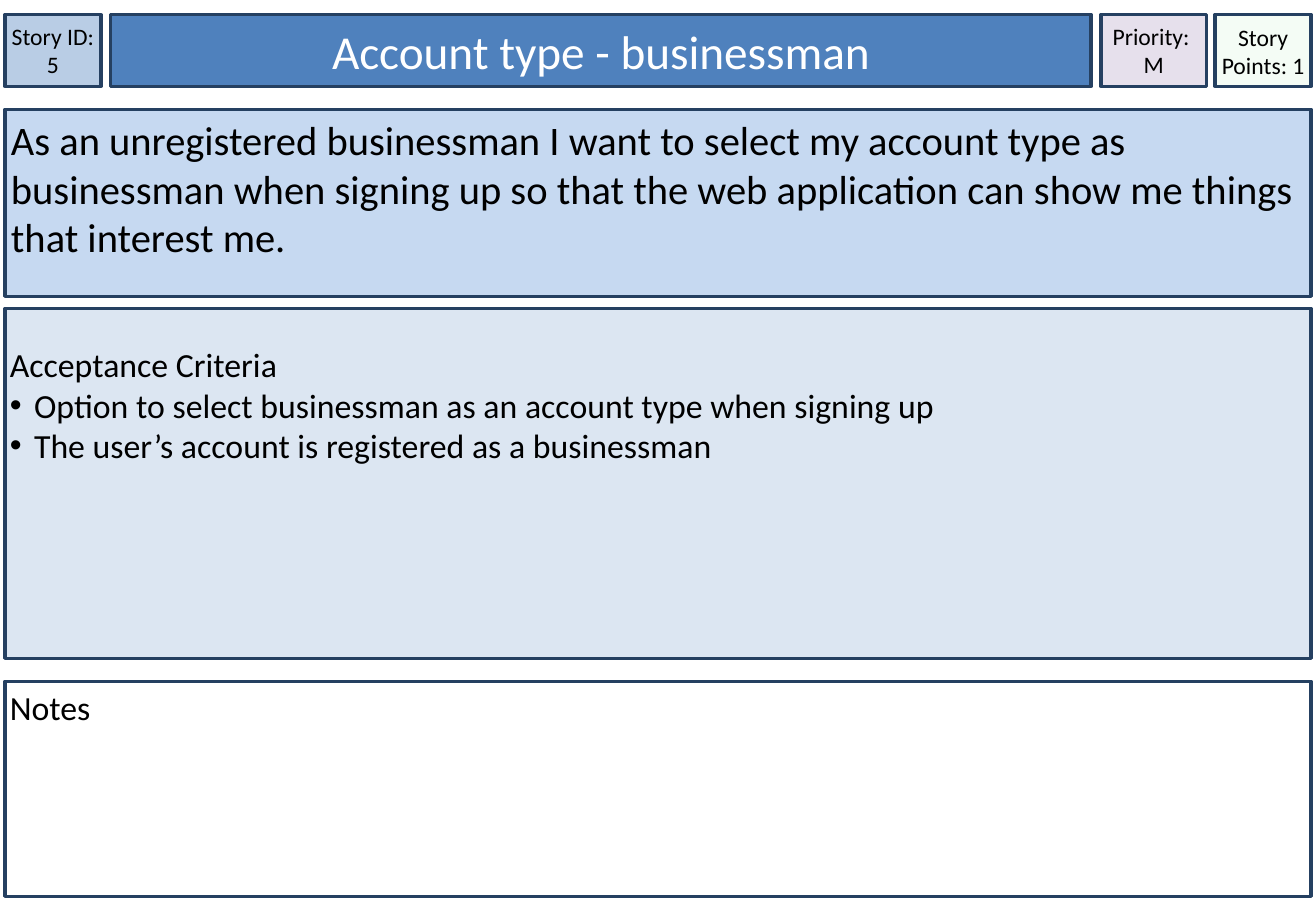
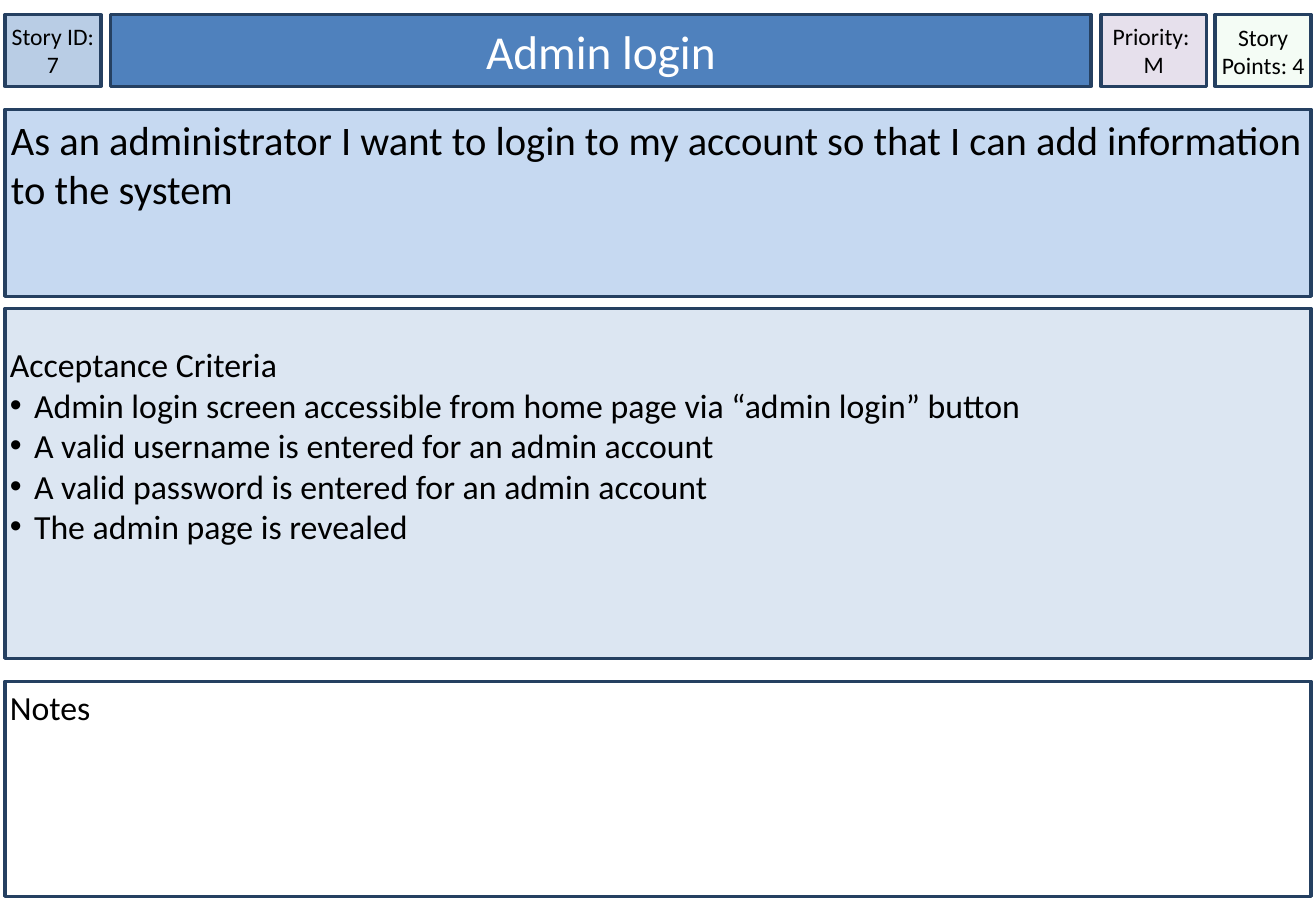
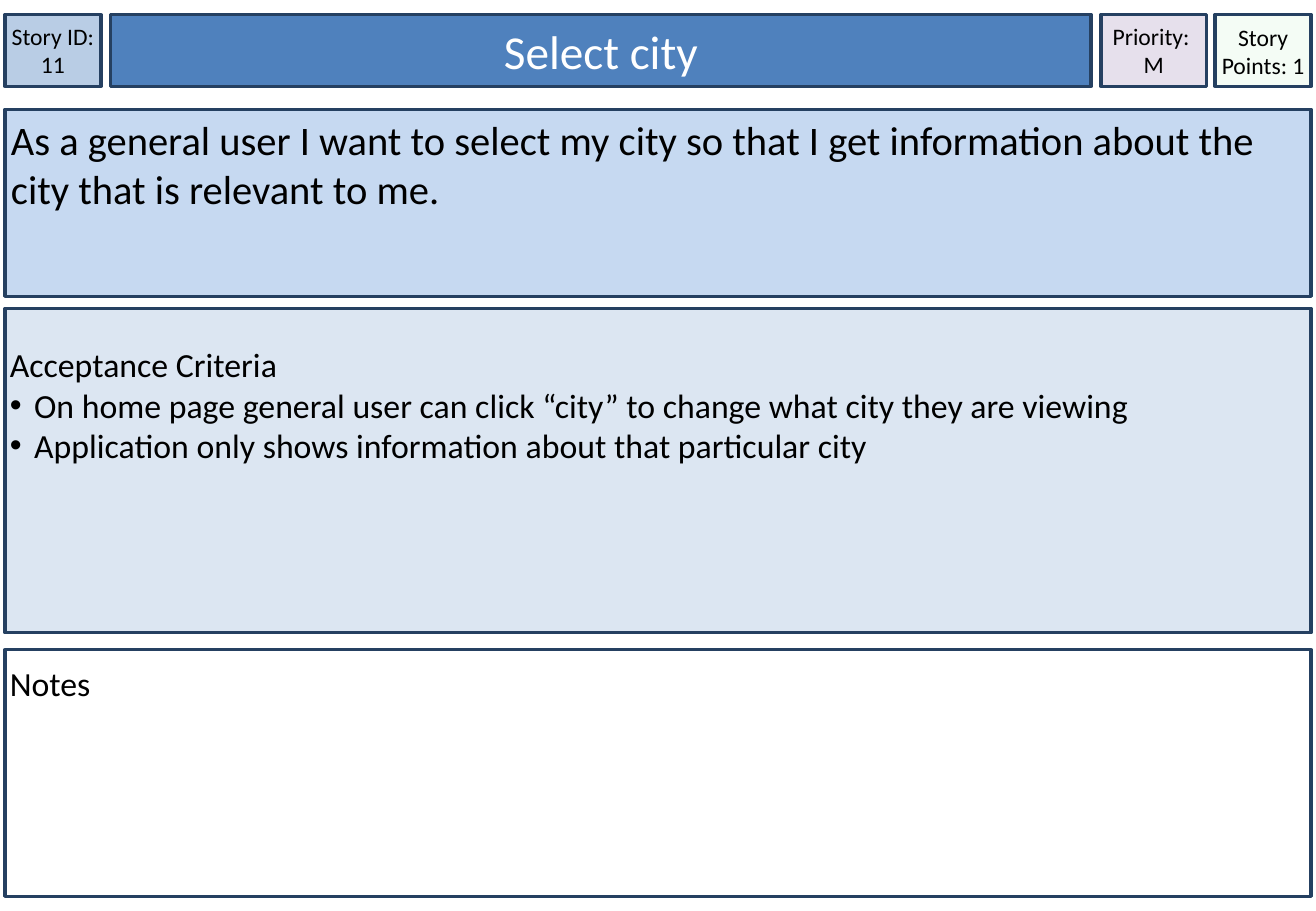
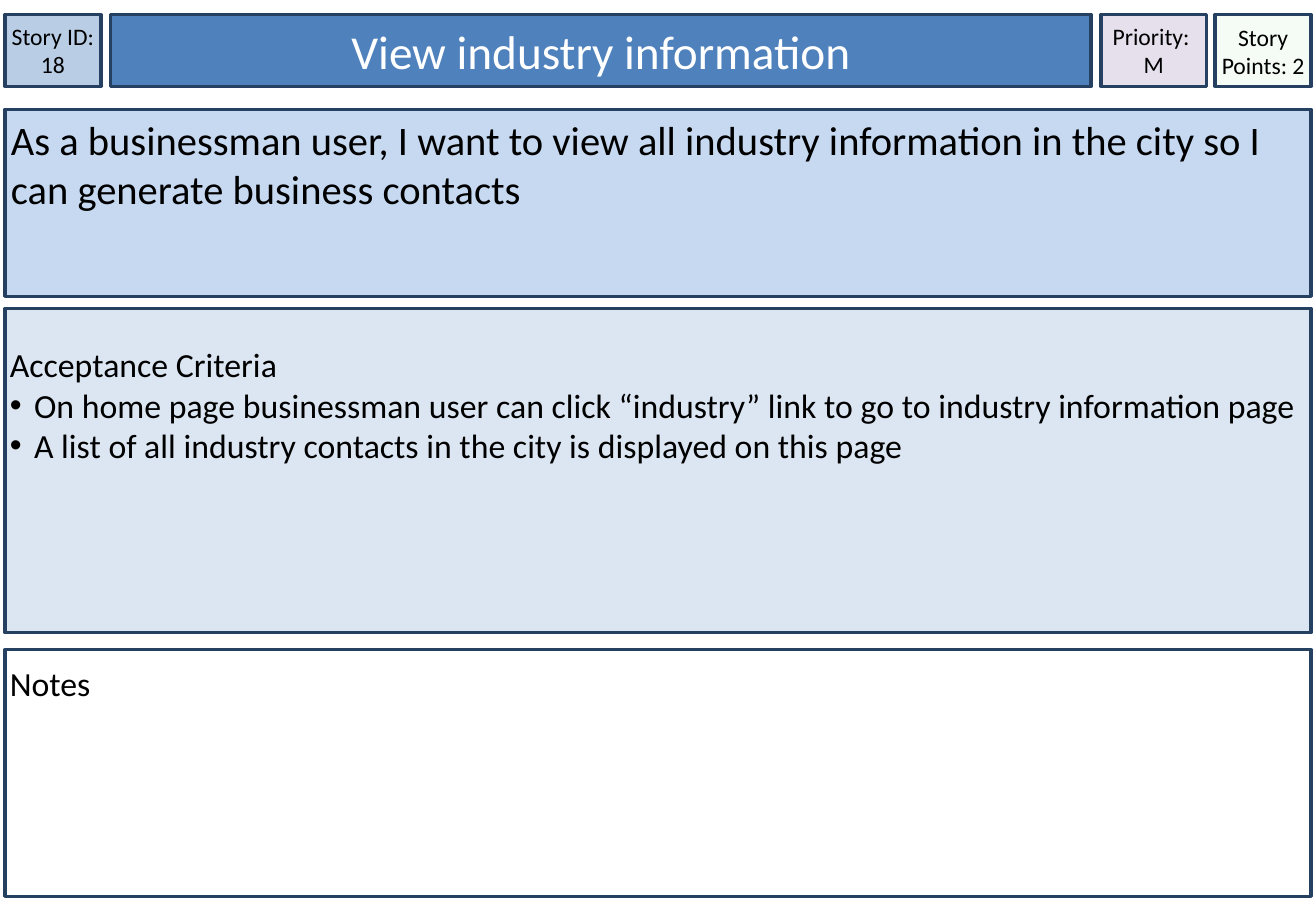
from dataclasses import dataclass

from lxml.etree import SubElement
from pptx import Presentation
from pptx.dml.color import RGBColor
from pptx.enum.shapes import MSO_SHAPE
from pptx.enum.text import MSO_ANCHOR as ANCHOR, PP_ALIGN as ALIGN
from pptx.oxml.ns import qn
from pptx.slide import Slide
from pptx.util import Inches, Pt

COLORS = {
    "border": "254061",
    "id": "B9CDE5",
    "title": "4F81BD",
    "story": "C6D9F1",
    "criteria": "DCE6F2",
    "points": "CCF0CD",
    "priority": "E6E0EC",
    "remarks": "FFFFFF",
    "ink": "000000",
    "title_ink": "FFFFFF",
}
FONT = "Calibri"
LEFT, FULL_WIDTH = 0.04, 10.75
HEADER_TOP, HEADER_HEIGHT = 0.12, 0.59
CRITERIA_TOP, CRITERIA_TEXT_TOP = 2.54, 2.79
BOTTOM = 7.38
BULLET_INDENT = 0.2


@dataclass(frozen=True)
class Box:
    left: float
    top: float
    width: float
    height: float

    def lengths(self) -> list[int]:
        return [Inches(v) for v in (self.left, self.top, self.width, self.height)]


@dataclass(frozen=True)
class TextStyle:
    size: int
    inset: float
    centered: bool = False
    wrap: bool = True
    ink: str = "ink"


@dataclass(frozen=True)
class Panel:
    fill: str
    frame: Box
    text_area: Box
    style: TextStyle
    lines: tuple[str, ...]
    bullets: tuple[str, ...] = ()
    opacity: int = 100


@dataclass(frozen=True)
class Arrangement:
    criteria_height: float
    criteria_text_height: float
    remarks_top: float
    remarks_text_top: float


@dataclass(frozen=True)
class Story:
    number: int
    title: str
    points: int
    wish: str
    criteria: tuple[str, ...]
    arrangement: Arrangement
    priority: str = "M"


TAG = TextStyle(14, 0, centered=True)
UNWRAPPED_TAG = TextStyle(14, 0, centered=True, wrap=False)
TITLE = TextStyle(28, 0.05, centered=True, ink="title_ink")
WISH = TextStyle(24, 0.05)
BODY = TextStyle(20, 0.04)

TALL_CRITERIA = Arrangement(2.88, 2.62, 5.61, 5.61)
SHORT_CRITERIA = Arrangement(2.67, 2.5, 5.35, 5.42)

STORIES = (
    Story(
        5, "Account type - businessman", 1,
        "As an unregistered businessman I want to select my account type as "
        "businessman when signing up so that the web application can show me "
        "things that interest me.",
        (
            "Option to select businessman as an account type when signing up",
            "The user’s account is registered as a businessman",
        ),
        TALL_CRITERIA,
    ),
    Story(
        7, "Admin login", 4,
        "As an administrator I want to login to my account so that I can add "
        "information to the system",
        (
            "Admin login screen accessible from home page via “admin login” button",
            "A valid username is entered for an admin account",
            "A valid password is entered for an admin account",
            "The admin page is revealed",
        ),
        TALL_CRITERIA,
    ),
    Story(
        11, "Select city", 1,
        "As a general user I want to select my city so that I get information "
        "about the city that is relevant to me.",
        (
            "On home page general user can click “city” to change what city they are viewing",
            "Application only shows information about that particular city",
        ),
        SHORT_CRITERIA,
    ),
    Story(
        18, "View industry information", 2,
        "As a businessman user, I want to view all industry information in the "
        "city so I can generate business contacts",
        (
            "On home page businessman user can click “industry” link to go to "
            "industry information page",
            "A list of all industry contacts in the city is displayed on this page",
        ),
        SHORT_CRITERIA,
    ),
)


def header_box(left: float, width: float) -> Box:
    return Box(left, HEADER_TOP, width, HEADER_HEIGHT)


def full_box(top: float, height: float) -> Box:
    return Box(LEFT, top, FULL_WIDTH, height)


def story_panels(story: Story) -> list[Panel]:
    plan = story.arrangement
    return [
        Panel("id", header_box(LEFT, 0.79), Box(LEFT, 0.18, 0.79, 0.47),
              TAG, (f"Story ID: {story.number}",)),
        Panel("title", header_box(0.91, 8.07), Box(0.91, 0.13, 8.07, 0.57),
              TITLE, (story.title,)),
        Panel("story", full_box(0.9, 1.54), Box(LEFT, 0.9, 10.78, 1.39),
              WISH, (story.wish,)),
        Panel("criteria", full_box(CRITERIA_TOP, plan.criteria_height),
              full_box(CRITERIA_TEXT_TOP, plan.criteria_text_height),
              BODY, ("Acceptance Criteria",), story.criteria),
        Panel("points", header_box(10, 0.79), Box(10, 0.07, 0.79, 0.7),
              TAG, (f"Story Points: {story.points}",), opacity=20),
        Panel("priority", header_box(9.06, 0.87), Box(9.09, 0.18, 0.81, 0.47),
              UNWRAPPED_TAG, ("Priority: ", story.priority)),
        Panel("remarks", full_box(plan.remarks_top, BOTTOM - plan.remarks_top),
              full_box(plan.remarks_text_top, 0.41), BODY, ("Notes",)),
    ]


def rgb(name: str) -> RGBColor:
    return RGBColor.from_string(COLORS[name])


def draw_frame(slide: Slide, panel: Panel) -> None:
    frame = slide.shapes.add_shape(MSO_SHAPE.RECTANGLE, *panel.frame.lengths())
    frame.shadow.inherit = False
    frame.fill.solid()
    frame.fill.fore_color.rgb = rgb(panel.fill)
    frame.line.color.rgb = rgb("border")
    frame.line.width = Pt(2)
    if panel.opacity < 100:
        color = frame._element.spPr.find(qn("a:solidFill"))[0]
        SubElement(color, qn("a:alpha"), val=str(panel.opacity * 1000))


def add_bullet(paragraph) -> None:
    properties = paragraph._p.get_or_add_pPr()
    properties.set("marL", str(Inches(BULLET_INDENT)))
    properties.set("indent", str(-Inches(BULLET_INDENT)))
    bullet_color = SubElement(properties, qn("a:buClr"))
    SubElement(bullet_color, qn("a:srgbClr"), val=COLORS["ink"])
    SubElement(properties, qn("a:buFont"), typeface="Arial")
    SubElement(properties, qn("a:buChar"), char="•")


def write_text(slide: Slide, panel: Panel) -> None:
    style = panel.style
    text = slide.shapes.add_textbox(*panel.text_area.lengths()).text_frame
    frame_format = {
        "word_wrap": style.wrap,
        "vertical_anchor": ANCHOR.MIDDLE if style.centered else ANCHOR.TOP,
        **{f"margin_{side}": Inches(style.inset)
           for side in ("left", "top", "right", "bottom")},
    }
    for name, value in frame_format.items():
        setattr(text, name, value)
    font_format = {"name": FONT, "size": Pt(style.size)}
    for index, line in enumerate(panel.lines + panel.bullets):
        paragraph = text.add_paragraph() if index else text.paragraphs[0]
        paragraph.alignment = ALIGN.CENTER if style.centered else ALIGN.LEFT
        run = paragraph.add_run()
        run.text = line
        for name, value in font_format.items():
            setattr(run.font, name, value)
        run.font.color.rgb = rgb(style.ink)
        if index >= len(panel.lines):
            add_bullet(paragraph)


def main() -> None:
    deck = Presentation()
    deck.slide_width, deck.slide_height = Inches(10.83), Inches(7.5)
    blank = deck.slide_layouts[6]
    for story in STORIES:
        slide = deck.slides.add_slide(blank)
        for panel in story_panels(story):
            draw_frame(slide, panel)
            write_text(slide, panel)
    deck.save("out.pptx")


if __name__ == "__main__":
    main()
